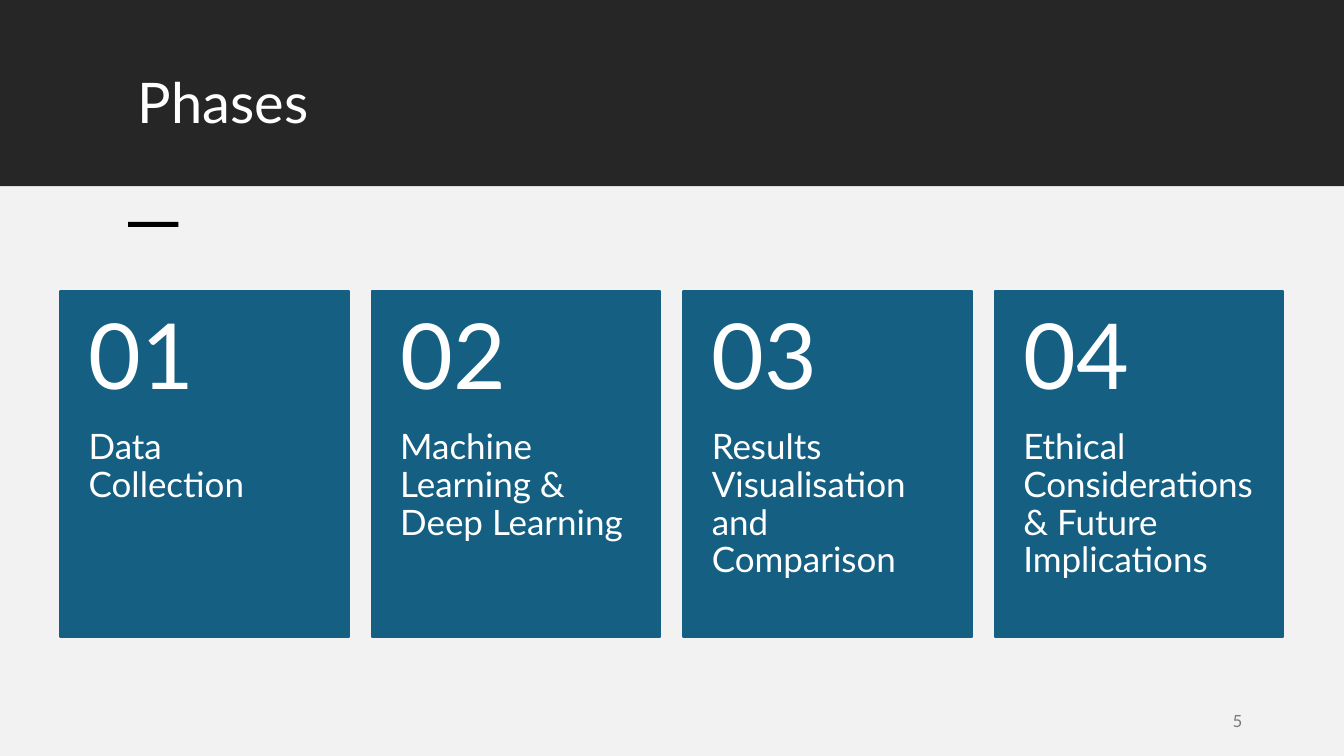
from pptx import Presentation
from pptx.dml.color import RGBColor
from pptx.enum.shapes import MSO_SHAPE
from pptx.enum.text import MSO_ANCHOR, PP_ALIGN
from pptx.util import Inches, Pt

COLORS = {
    "header": "262626",
    "body": "F2F2F2",
    "accent": "000000",
    "card": "156082",
    "text": "FFFFFF",
    "number": "797979",
}
FONT = "Lato"
PHASES = [
    "Data Collection",
    "Machine Learning & Deep Learning",
    "Results Visualisation and Comparison",
    "Ethical Considerations & Future Implications",
]
CARD_LEFT, CARD_TOP, CARD_STEP = 0.6, 2.89, 3.09
CARD_WIDTH, CARD_HEIGHT, NUMBER_HEIGHT = 2.86, 3.43, 1.37


def color(name):
    return RGBColor.from_string(COLORS[name])


def add_rect(s, left, top, width, height, fill, line_width=0):
    sp = s.shapes.add_shape(MSO_SHAPE.RECTANGLE, Inches(left), Inches(top),
                            Inches(width), Inches(height))
    sp.shadow.inherit = False
    sp.fill.solid()
    sp.fill.fore_color.rgb = color(fill)
    if line_width:
        sp.line.color.rgb = color(fill)
        sp.line.width = Pt(line_width)
    else:
        sp.line.fill.background()


def add_text(s, left, top, width, height, text, size, fill="text",
             insets=(0.1, 0.05, 0.1, 0.05), anchor=MSO_ANCHOR.TOP,
             align=PP_ALIGN.LEFT, spacing=0.9):
    sp = s.shapes.add_textbox(Inches(left), Inches(top), Inches(width), Inches(height))
    tf = sp.text_frame
    tf.word_wrap = True
    tf.vertical_anchor = anchor
    tf.margin_left, tf.margin_top, tf.margin_right, tf.margin_bottom = map(Inches, insets)
    tf.text = text
    p = tf.paragraphs[0]
    p.alignment = align
    p.line_spacing = spacing
    r = p.runs[0]
    r.font.name = FONT
    r.font.size = Pt(size)
    r.font.color.rgb = color(fill)


def add_phase(s, index, label):
    left = CARD_LEFT + index * CARD_STEP
    add_rect(s, left, CARD_TOP, CARD_WIDTH, CARD_HEIGHT, "card", 1.5)
    add_text(s, left, CARD_TOP + NUMBER_HEIGHT, CARD_WIDTH,
             CARD_HEIGHT - NUMBER_HEIGHT, label, 25, insets=(0.28, 0, 0.28, 0.36))
    add_text(s, left, CARD_TOP, CARD_WIDTH, NUMBER_HEIGHT, f"{index + 1:02d}", 65,
             insets=(0.28, 0.18, 0.28, 0.18), anchor=MSO_ANCHOR.MIDDLE)


def main():
    prs = Presentation()
    prs.slide_width = Inches(13.33)
    prs.slide_height = Inches(7.5)
    s = prs.slides.add_slide(prs.slide_layouts[6])
    add_rect(s, 0, -0.01, 13.33, 1.86, "header")
    add_text(s, 1.27, 0.7, 10.81, 0.98, "Phases", 40)
    add_rect(s, 0, 1.85, 13.33, 5.65, "body")
    add_rect(s, 1.27, 2.2, 0.5, 0.05, "accent")
    for index, label in enumerate(PHASES):
        add_phase(s, index, label)
    add_text(s, 9.42, 6.95, 3, 0.4, "5", 12, "number", anchor=MSO_ANCHOR.MIDDLE,
             align=PP_ALIGN.RIGHT, spacing=1.0)
    prs.save("out.pptx")


if __name__ == "__main__":
    main()
